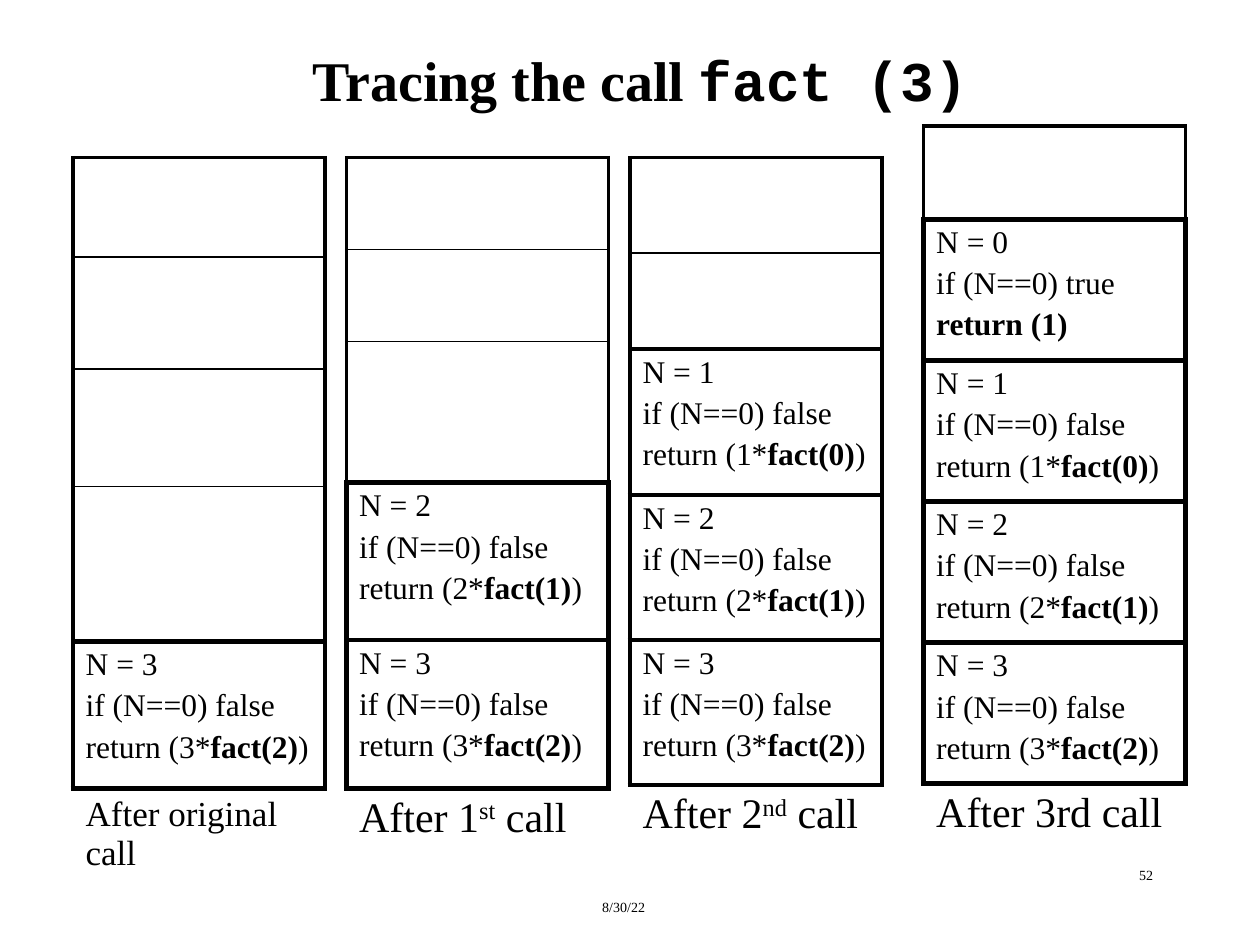
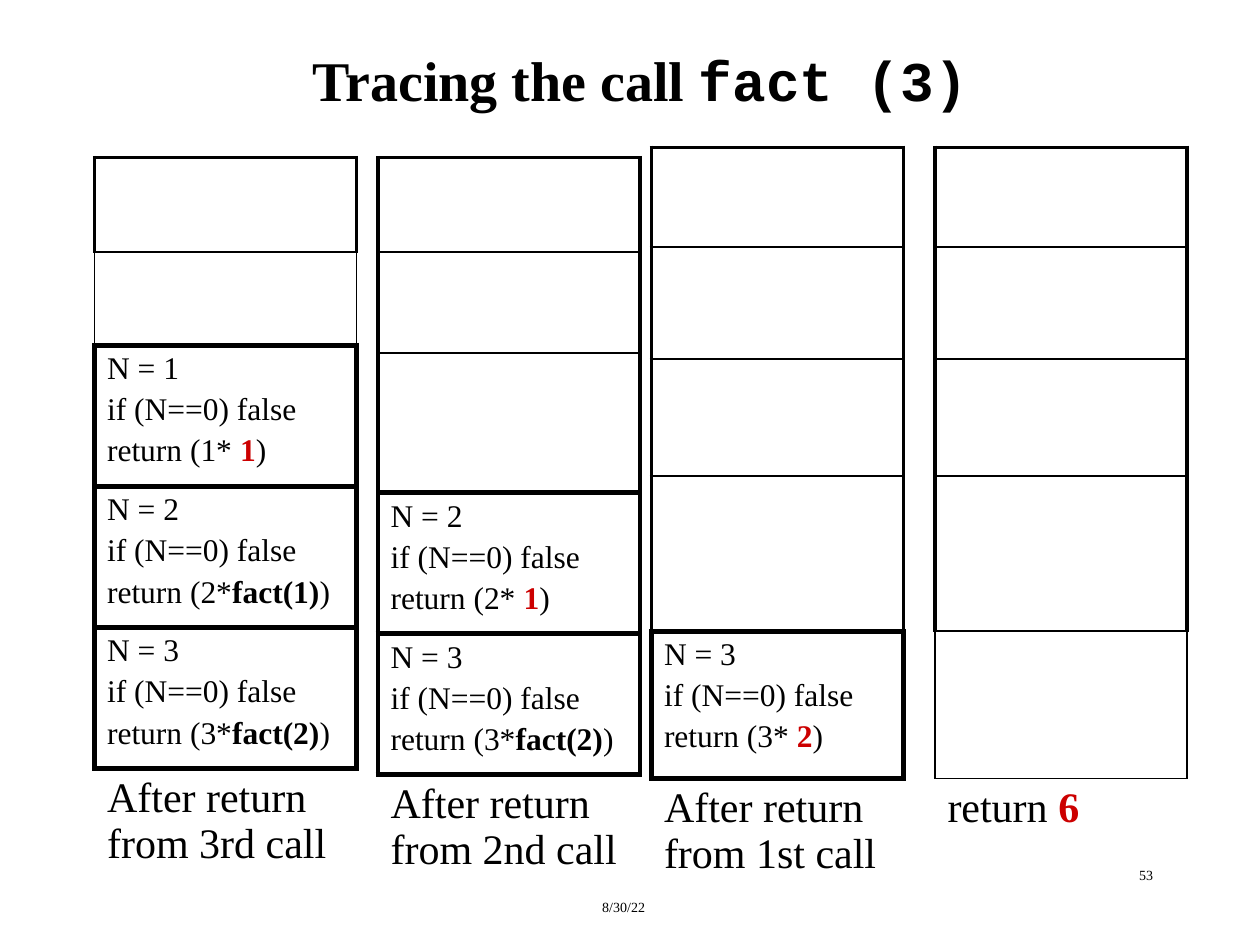
from lxml.etree import SubElement
from pptx import Presentation
from pptx.dml.color import RGBColor
from pptx.enum.text import MSO_ANCHOR, PP_ALIGN
from pptx.oxml.ns import qn
from pptx.util import Inches, Pt

# Shared look
SERIF, MONO = "Times New Roman", "Courier New"
BLACK, RED = "000000", "CC0000"
THIN, SIDE, THICK = 1, 2.25, 3  # line widths in points
TITLE = [("Tracing the call ", SERIF), ("fact (3)", MONO)]
DATE = "8/30/22"

# Stack cells: unused ones, and frames as (N, value multiplied by N)
UNUSED, FAINT = "unused", "faint"
BASE = (0, None)
CALL_1, CALL_2, CALL_3 = [(n, f"fact({n - 1})") for n in (1, 2, 3)]
DEEP_ROWS = [0.79, 0.89, 0.93, 1.23, 1.17, 0.95]

# Stacks: left, top, width, row heights, cells, caption runs, caption size
SLIDES = [
    ("52", [
        (0.58, 1.25, 2, DEEP_ROWS, [UNUSED] * 4 + [CALL_3],
         [("After original call", None)], 20),
        (2.75, 1.25, 2.08, [0.73, 0.73, 1.12, 1.25, 1.18, 0.73],
         [UNUSED] * 3 + [CALL_2, CALL_3],
         [("After 1", None), ("st", "super"), (" call", None)], 24),
        (5, 1.25, 2, [0.76, 0.76, 1.16, 1.15, 1.15, 0.76],
         [UNUSED] * 2 + [CALL_1, CALL_2, CALL_3],
         [("After 2", None), ("nd", "super"), (" call", None)], 24),
        (7.33, 1, 2.08, [0.74, 1.12, 1.12, 1.12, 1.12, 0.74],
         [UNUSED, BASE, CALL_1, CALL_2, CALL_3],
         [("After 3rd call", None)], 24),
    ]),
    ("53", [
        (0.75, 1.25, 2.08, [0.75, 0.74, 1.12, 1.12, 1.12, 0.9],
         [UNUSED, FAINT, (1, "1"), CALL_2, CALL_3],
         [("After return from 3rd call", None)], 24),
        (3, 1.25, 2.08, [0.75, 0.8, 1.11, 1.12, 1.12, 0.9],
         [UNUSED] * 3 + [(2, "1"), CALL_3],
         [("After return from 2nd call", None)], 24),
        (5.17, 1.17, 2, DEEP_ROWS, [UNUSED] * 4 + [(3, "2")],
         [("After return from 1st call", None)], 24),
        (7.42, 1.17, 2, DEEP_ROWS, [UNUSED] * 4 + [FAINT],
         [("return ", None), ("6", "red")], 24),
    ]),
]


def rgb(color):
    return RGBColor.from_string(color)


def style_paragraph(p, size, align=PP_ALIGN.LEFT):
    p.alignment = align
    p.font.size = Pt(size)
    p.font.name = SERIF
    p.font.color.rgb = rgb(BLACK)


def add_runs(p, runs):
    for text, look in runs:
        r = p.add_run()
        r.text = text
        if look in ("bold", "red"):
            r.font.bold = True
        if look == "red":
            r.font.color.rgb = rgb(RED)
        if look == "super":
            r._r.get_or_add_rPr().set("baseline", "30000")


def frame_lines(n, value):
    """The three lines of one activation frame, each a list of runs."""
    if value is None:
        test, result = "true", [("return (1)", "bold")]
    elif value.isdigit():
        test = "false"
        result = [(f"return ({n}* ", None), (value, "red"), (")", None)]
    else:
        test = "false"
        result = [(f"return ({n}*", None), (value, "bold"), (")", None)]
    return [[(f"N = {n}", None)], [(f"if (N==0) {test}", None)], result]


def write_cell(cell, lines, size):
    tf = cell.text_frame
    for i, runs in enumerate(lines):
        p = tf.paragraphs[0] if i == 0 else tf.add_paragraph()
        style_paragraph(p, size)
        if i:
            p.space_before = Pt(0.2 * size)
        add_runs(p, runs)


def set_borders(cell, left, right, top, bottom):
    tcPr = cell._tc.get_or_add_tcPr()
    sides = zip(("a:lnL", "a:lnR", "a:lnT", "a:lnB"), (left, right, top, bottom))
    for i, (tag, width) in enumerate(sides):
        ln = SubElement(tcPr, qn(tag), w=str(Pt(width)))
        if width:
            fill = SubElement(ln, qn("a:solidFill"))
            SubElement(fill, qn("a:srgbClr"), val=BLACK)
        else:
            SubElement(ln, qn("a:noFill"))
        tcPr.insert(i, ln)


def is_frame(item):
    return isinstance(item, tuple)


def side_width(item):
    return THICK if is_frame(item) else THIN if item == FAINT else SIDE


def add_stack(slide, left, top, width, heights, items, caption, caption_size):
    table = slide.shapes.add_table(
        len(heights), 1, Inches(left), Inches(top), Inches(width),
        Inches(sum(heights))).table
    table.first_row = table.horz_banding = False

    # An edge is thick wherever it touches a frame
    edges = [THICK if is_frame(a) or is_frame(b) else THIN
             for a, b in zip(items, items[1:] + [None])]
    edges = [SIDE] + edges + [0]
    sides = [side_width(item) for item in items] + [0]

    for i, height in enumerate(heights):
        table.rows[i].height = Inches(height)
        cell = table.cell(i, 0)
        cell.fill.background()
        set_borders(cell, sides[i], sides[i], edges[i], edges[i + 1])
        if i == len(items):
            write_cell(cell, [caption], caption_size)
        elif is_frame(items[i]):
            write_cell(cell, frame_lines(*items[i]), 18)


def add_title(slide):
    sp = slide.shapes.title
    sp.left, sp.top, sp.width, sp.height = map(Inches, (0.83, 0.25, 8.5, 0.75))
    sp.text_frame.vertical_anchor = MSO_ANCHOR.MIDDLE
    p = sp.text_frame.paragraphs[0]
    style_paragraph(p, 32, PP_ALIGN.CENTER)
    p.font.bold = True
    for text, font in TITLE:
        r = p.add_run()
        r.text = text
        r.font.name = font


def add_footer(slide, text, box, align):
    tf = slide.shapes.add_textbox(*map(Inches, box)).text_frame
    tf.word_wrap = True
    p = tf.paragraphs[0]
    p.text = text
    style_paragraph(p, 8, align)


def main():
    prs = Presentation()
    prs.slide_width, prs.slide_height = Inches(10), Inches(7.5)
    for number, stacks in SLIDES:
        slide = prs.slides.add_slide(prs.slide_layouts[5])
        add_title(slide)
        add_footer(slide, DATE, (3.08, 7.08, 3.74, 0.24), PP_ALIGN.CENTER)
        add_footer(slide, number, (7.17, 6.83, 2.08, 0.5), PP_ALIGN.RIGHT)
        for stack in stacks:
            add_stack(slide, *stack)
    prs.save("out.pptx")


if __name__ == "__main__":
    main()
